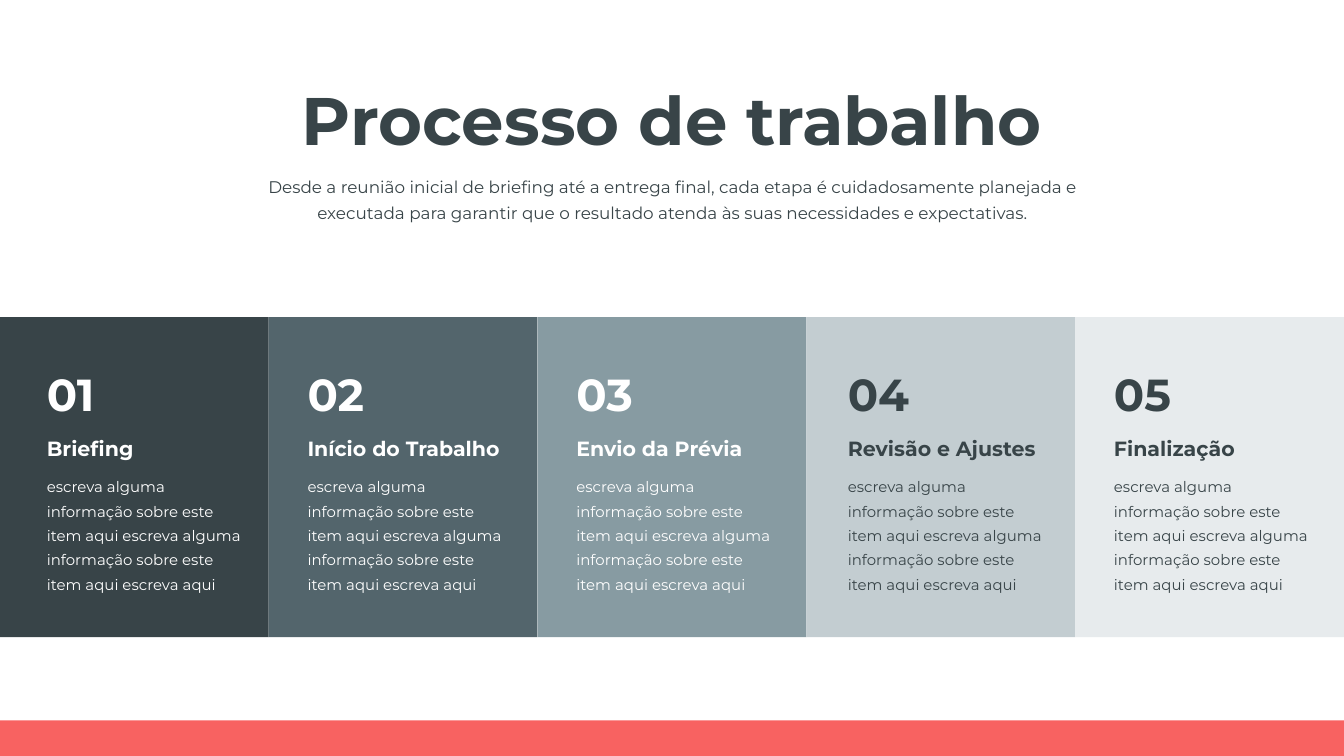
from pptx import Presentation
from pptx.dml.color import RGBColor
from pptx.enum.shapes import MSO_SHAPE
from pptx.enum.text import MSO_AUTO_SIZE, PP_ALIGN
from pptx.util import Pt

RECTANGLE = MSO_SHAPE.RECTANGLE
GROW = MSO_AUTO_SIZE.SHAPE_TO_FIT_TEXT
LEFT, CENTER = PP_ALIGN.LEFT, PP_ALIGN.CENTER

WIDTH, HEIGHT = 720, 405
DARK, WHITE, CORAL = "384448", "FFFFFF", "F86261"
DESCRIPTION = ("escreva alguma informação sobre este item aqui escreva alguma "
               "informação sobre este item aqui escreva aqui")
SUBTITLE = ("Desde a reunião inicial de briefing até a entrega final, cada etapa "
            "é cuidadosamente planejada e executada para garantir que o resultado "
            "atenda às suas necessidades e expectativas.")

# Heading, panel colour, text colour, text indent, heading width
STEPS = [
    ("Briefing", "384448", WHITE, 18, 126.7),
    ("Início do Trabalho", "53656C", WHITE, 13.7, 141),
    ("Envio da Prévia", "879BA2", WHITE, 13.7, 126.7),
    ("Revisão e Ajustes", "C3CDD1", DARK, 15.1, 126.7),
    ("Finalização", "E7EBED", DARK, 13.7, 133),
]

TITLE = {"size": Pt(36), "bold": True}
BODY = {"size": Pt(9), "bold": False}
NUMBER = {"size": Pt(24), "bold": True}
HEADING = {"size": Pt(11), "bold": True}
DETAIL = {"size": Pt(8), "bold": False}


def color(value):
    return RGBColor.from_string(value)


def add_panel(slide, box, fill):
    shape = slide.shapes.add_shape(RECTANGLE, *map(Pt, box))
    shape.shadow.inherit = False
    shape.fill.solid()
    shape.fill.fore_color.rgb = color(fill)
    shape.line.fill.background()


def add_text(slide, box, text, font_format, text_color, spacing=None, align=LEFT):
    frame = slide.shapes.add_textbox(*map(Pt, box)).text_frame
    frame.word_wrap = True
    frame.auto_size = GROW
    paragraph = frame.paragraphs[0]
    paragraph.alignment = align
    if spacing:
        paragraph.line_spacing = spacing
    run = paragraph.add_run()
    run.text = text
    for name, value in {"name": "Montserrat", **font_format}.items():
        setattr(run.font, name, value)
    run.font.color.rgb = color(text_color)


def add_header(slide, box):
    left, top, width, height = box
    add_text(slide, (left, top, width, 51), "Processo de trabalho", TITLE, DARK,
             align=CENTER)
    add_text(slide, (left + 5.8, top + 49.7, width - 11.6, height - 49.7), SUBTITLE,
             BODY, DARK, 1.3, CENTER)


def add_steps(slide, box):
    left, top, width, height = box
    step_width = width / len(STEPS)
    # Panels behind
    for index, (_, fill, *_) in enumerate(STEPS):
        add_panel(slide, (left + index * step_width, top, step_width, height), fill)
    # Number, heading and detail of each step
    for index, (heading, _, ink, indent, heading_width) in enumerate(STEPS):
        text_left = left + index * step_width + indent
        add_text(slide, (text_left, top + 23, 57.6, 36), f"{index + 1:02}", NUMBER, ink)
        add_text(slide, (text_left, top + 53.3, heading_width, 25.2), heading,
                 HEADING, ink, 1.5)
        add_text(slide, (text_left, top + 79.2, 120.2, 71.3), DESCRIPTION,
                 DETAIL, ink, Pt(13))


def main():
    presentation = Presentation()
    presentation.slide_width, presentation.slide_height = Pt(WIDTH), Pt(HEIGHT)
    slide = presentation.slides.add_slide(presentation.slide_layouts[6])
    slide.background.fill.solid()
    slide.background.fill.fore_color.rgb = color(WHITE)

    add_steps(slide, (0, 169.9, WIDTH, 171.4))
    add_header(slide, (121.7, 38.2, 476.6, 84.3))
    # Footer band
    add_panel(slide, (0, 386, WIDTH, HEIGHT - 386), CORAL)

    presentation.save("out.pptx")


if __name__ == "__main__":
    main()
